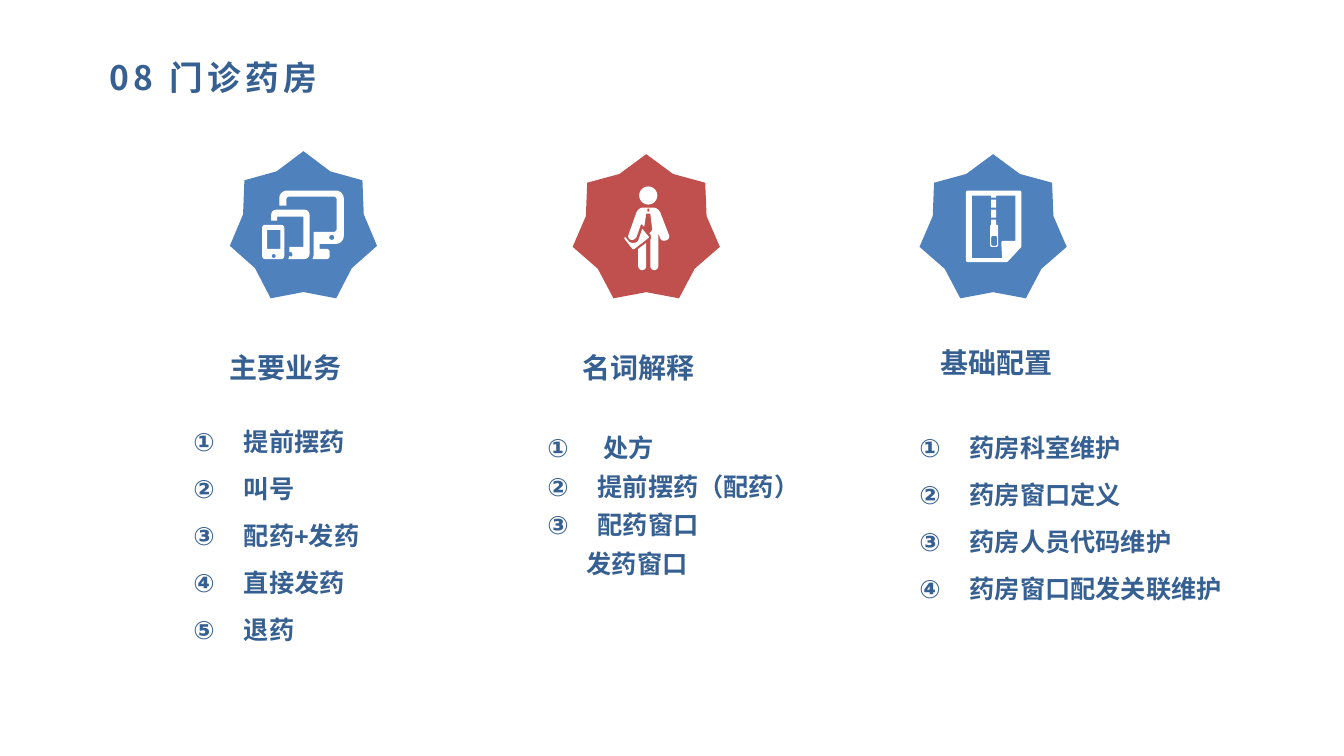
import pptx
import pptx.dml.color
import pptx.enum.shapes
import pptx.enum.text
import pptx.oxml
import pptx.oxml.ns
import pptx.util

Inches = pptx.util.Inches
COLORS = {"text": "376092", "blue": "4F81BD", "red": "C0504D", "icon": "FFFFFF"}
FONTS = {"heading": "Noto Sans CJK SC", "list": "Arial"}
TITLE = "08 门诊药房"


def box(left, top, right, bottom, radius=0):
    """Return the four corners of a box with one rounding radius."""
    return [(left, top, radius), (right, top, radius), (right, bottom, radius), (left, bottom, radius)]


def dot(x, y, radius):
    """Return a circle as a fully rounded box."""
    return box(x - radius, y - radius, x + radius, y + radius, radius)


DEVICES = [
    box(2.6, 2.23, 2.82, 2.57, 0.03),
    box(2.65, 2.28, 2.78, 2.47),
    dot(2.715, 2.54, 0.02),
    [(2.69, 2.08, 0.05), (3.07, 2.08, 0.05), (3.07, 2.57, 0.05), (2.86, 2.57), (2.87, 2.54),
     (2.9, 2.55, 0.02), (2.9, 2.5, 0.02), (2.87, 2.5), (2.87, 2.45), (3.01, 2.45),
     (3.01, 2.15), (2.75, 2.15), (2.75, 2.19), (2.69, 2.19)],
    [(2.77, 1.89, 0.08), (3.41, 1.89, 0.08), (3.41, 2.42, 0.08), (3.17, 2.42), (3.17, 2.47),
     (3.27, 2.47, 0.03), (3.27, 2.57, 0.03), (3.1, 2.57), (3.11, 2.54), (3.11, 2.3),
     (3.34, 2.3, 0.03), (3.34, 1.95, 0.03), (2.84, 1.95, 0.03), (2.84, 2.04), (2.77, 2.04)],
    dot(3.29, 2.355, 0.025),
]
PERSON = [
    dot(6.43, 1.94, 0.09),
    [(6.41, 2.41), (6.41, 2.68, 0.04), (6.33, 2.68, 0.04), (6.33, 2.47)],
    [(6.37, 2.27), (6.44, 2.355, 0.01), (6.28, 2.48, 0.02), (6.19, 2.365, 0.01),
     (6.2, 2.35), (6.25, 2.41, 0.02), (6.32, 2.41, 0.03), (6.34, 2.36)],
    box(6.42, 2.07, 6.44, 2.1),
    [(6.33, 2.06, 0.05), (6.53, 2.06, 0.05), (6.65, 2.37, 0.04), (6.56, 2.4, 0.04),
     (6.53, 2.31), (6.53, 2.68, 0.04), (6.45, 2.68, 0.04), (6.45, 2.38), (6.46, 2.36),
     (6.45, 2.32), (6.44, 2.32), (6.47, 2.28), (6.45, 2.12), (6.41, 2.12), (6.39, 2.25),
     (6.36, 2.22), (6.3, 2.39, 0.05), (6.22, 2.37, 0.04), (6.28, 2.2)],
]
DOCUMENT = [
    [(9.58, 1.89, 0.02), (10.13, 1.89, 0.02), (10.13, 2.45, 0.01), (9.99, 2.6, 0.01), (9.58, 2.6, 0.02)],
    [(10.07, 2.39), (9.93, 2.39, 0.02), (9.94, 2.56), (9.64, 2.56), (9.64, 1.94),
     (9.83, 1.94), (9.83, 1.96), (9.88, 1.96), (9.88, 1.94), (10.07, 1.94)],
    box(9.83, 1.98, 9.88, 2.06),
    box(9.83, 2.08, 9.88, 2.16),
    [(9.83, 2.18), (9.88, 2.18), (9.88, 2.23), (9.9, 2.23, 0.02), (9.9, 2.45, 0.02),
     (9.82, 2.45, 0.02), (9.82, 2.23, 0.02), (9.83, 2.23)],
    box(9.83, 2.34, 9.89, 2.44, 0.02),
]

COLUMNS = [
    {"heading": "主要业务", "heading_at": (2.18, 3.43, 2.4, 0.38),
     "star_at": (2.28, 1.5, 1.46, 1.46), "color": "blue", "icon": DEVICES,
     "list_at": (1.82, 4.18, 2.76, 2.29), "space_before": 6,
     "items": [("提前摆药", 0.5), ("叫号", 0.5), ("配药+发药", 0.5), ("直接发药", 0.5), ("退药", 0.5)]},
    {"heading": "名词解释", "heading_at": (5.68, 3.43, 2.16, 0.38),
     "star_at": (5.68, 1.53, 1.46, 1.43), "color": "red", "icon": PERSON,
     "list_at": (5.33, 4.24, 3.09, 1.7), "space_before": 0,
     "items": [("处方", 0.56), ("提前摆药（配药）", 0.5), ("配药窗口", 0.5)], "closing": ("发药窗口", 0.39)},
    {"heading": "基础配置", "heading_at": (9.23, 3.38, 1.87, 0.4),
     "star_at": (9.12, 1.53, 1.46, 1.43), "color": "blue", "icon": DOCUMENT,
     "list_at": (9.02, 4.24, 3.23, 2.35), "space_before": 6,
     "items": [("药房科室维护", 0.5), ("药房窗口定义", 0.5), ("药房人员代码维护", 0.5), ("药房窗口配发关联维护", 0.5)]},
]


def paint(shape, color):
    """Give a shape a plain fill without line or shadow."""
    shape.shadow.inherit = False
    shape.fill.solid()
    shape.fill.fore_color.rgb = pptx.dml.color.RGBColor.from_string(COLORS[color])
    shape.line.fill.background()


def round_corners(corners, steps=6):
    """Turn corners with optional radii into a list of points in EMU."""
    points = []
    for index, (x, y, *radius) in enumerate(corners):
        if not radius or not radius[0]:
            points.append((x, y))
            continue
        ends = []
        for neighbour in (corners[index - 1], corners[(index + 1) % len(corners)]):
            dx, dy = neighbour[0] - x, neighbour[1] - y
            ratio = min(radius[0] / (dx * dx + dy * dy) ** 0.5, 0.5)
            ends.append((dx * ratio, dy * ratio))
        for step in range(steps + 1):
            t = step / steps
            start = (1 - t) ** 3 + 1.35 * t * (1 - t) ** 2
            end = t ** 3 + 1.35 * t * t * (1 - t)
            points.append((x + start * ends[0][0] + end * ends[1][0],
                           y + start * ends[0][1] + end * ends[1][1]))
    return [(Inches(x), Inches(y)) for x, y in points]


def add_icon(slide, outlines):
    """Draw all outlines of an icon as one white shape."""
    contours = [round_corners(outline) for outline in outlines]
    builder = slide.shapes.build_freeform(*contours[0][0])
    for index, contour in enumerate(contours):
        if index:
            builder.move_to(*contour[0])
        builder.add_line_segments(contour[1:], close=True)
    paint(builder.convert_to_shape(), "icon")


def add_text_box(slide, place):
    """Add a wrapping text box and return its text frame."""
    frame = slide.shapes.add_textbox(*map(Inches, place)).text_frame
    frame.word_wrap = True
    return frame


def add_run(paragraph, text, size, font):
    """Add one bold run and return it."""
    run = paragraph.add_run()
    run.text = text
    run.font.size = pptx.util.Pt(size)
    run.font.bold = True
    run.font.name = FONTS[font]
    run.font.color.rgb = pptx.dml.color.RGBColor.from_string(COLORS["text"])
    east_asian = pptx.oxml.parse_xml(f'<a:ea {pptx.oxml.ns.nsdecls("a")} typeface="{FONTS[font]}"/>')
    run.font._element.find(pptx.oxml.ns.qn("a:latin")).addnext(east_asian)
    return run


def add_list(slide, column):
    """Add the numbered list of one column."""
    frame = add_text_box(slide, column["list_at"])
    rows = [(*item, True) for item in column["items"]]
    if "closing" in column:
        rows.append((*column["closing"], False))
    for index, (text, margin, numbered) in enumerate(rows):
        paragraph = frame.add_paragraph() if index else frame.paragraphs[0]
        properties = paragraph._p.get_or_add_pPr()
        properties.set("marL", str(Inches(margin)))
        if numbered:
            properties.set("indent", str(-Inches(margin)))
            properties.append(pptx.oxml.parse_xml(
                f'<a:buAutoNum {pptx.oxml.ns.nsdecls("a")} type="circleNumDbPlain"/>'))
        paragraph.space_before = pptx.util.Pt(column["space_before"] if index else 0)
        paragraph.space_after = pptx.util.Pt(6)
        add_run(paragraph, text, 18, "list")


def main():
    """Build the slide and save it."""
    presentation = pptx.Presentation()
    presentation.slide_width, presentation.slide_height = Inches(13.33), Inches(7.5)
    slide = presentation.slides.add_slide(presentation.slide_layouts[6])
    title = add_text_box(slide, (0.89, 0.52, 10.21, 0.58))
    title.margin_left = Inches(0.2)
    run = add_run(title.paragraphs[0], TITLE, 24, "heading")
    run.font._element.set("spc", "300")
    for column in COLUMNS:
        star = slide.shapes.add_shape(
            pptx.enum.shapes.MSO_SHAPE.STAR_7_POINT, *map(Inches, column["star_at"]))
        star.adjustments[0] = 0.41
        paint(star, column["color"])
        add_icon(slide, column["icon"])
        heading = add_text_box(slide, column["heading_at"])
        add_run(heading.paragraphs[0], column["heading"], 20, "heading")
        add_list(slide, column)
    presentation.save("out.pptx")


if __name__ == "__main__":
    main()
